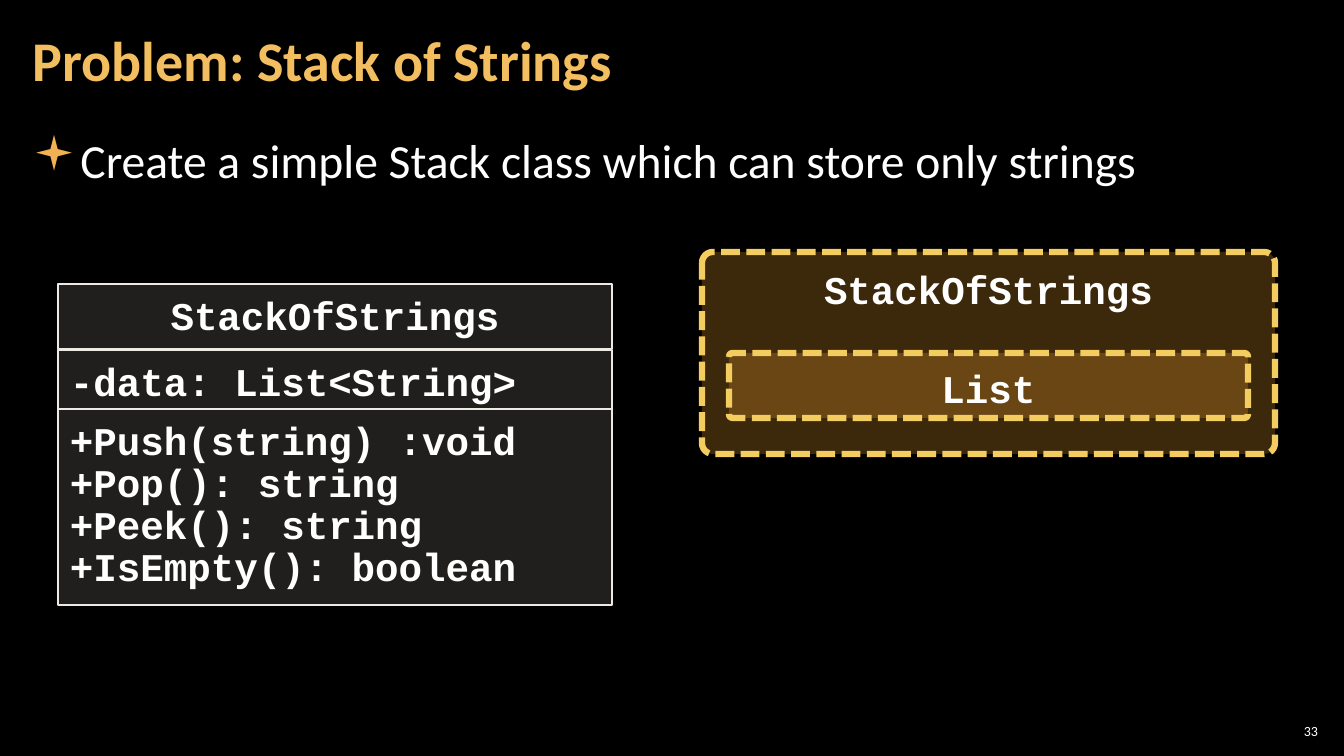
import pptx
import pptx.util
import pptx.dml.color
import pptx.enum.dml
import pptx.enum.shapes
import pptx.enum.text
import pptx.oxml
import pptx.oxml.ns

SCALE = 914400 / 100.8
COLORS = {
    "black": "000000", "white": "FFFFFF", "title": "F3BE60", "bullet": "F2B254",
    "class_fill": "D9D5C7", "class_line": "ECEAE3",
    "stack_fill": "F0A22E", "stack_line": "F3CD60",
}
ALIGN = pptx.enum.text.PP_ALIGN
ANCHOR = pptx.enum.text.MSO_ANCHOR
SHAPE = pptx.enum.shapes.MSO_SHAPE
CODE = {"name": "Courier New", "size": pptx.util.Pt(28), "bold": True}


def px(*lengths):
    return [round(length * SCALE) for length in lengths]


def write(box, lines, font, margins, anchor=ANCHOR.TOP, color="white", **para_format):
    frame = box.text_frame
    frame.word_wrap = True
    frame.vertical_anchor = anchor
    sides = ("margin_left", "margin_top", "margin_right", "margin_bottom")
    for side, margin in zip(sides, px(*margins)):
        setattr(frame, side, margin)
    for number, line in enumerate(lines):
        para = frame.add_paragraph() if number else frame.paragraphs[0]
        for name, value in para_format.items():
            setattr(para, name, value)
        span = para.add_run()
        span.text = line
        for name, value in font.items():
            setattr(span.font, name, value)
        span.font.color.rgb = pptx.dml.color.RGBColor.from_string(COLORS[color])


deck = pptx.Presentation()
deck.slide_width, deck.slide_height = px(1344, 756)
page = deck.slides.add_slide(deck.slide_layouts[6])
page.background.fill.solid()
page.background.fill.fore_color.rgb = pptx.dml.color.RGBColor.from_string(COLORS["black"])

# Bulleted statement
body = page.shapes.add_textbox(*px(21, 127, 1301, 614))
write(body, ["Create a simple Stack class which can store only strings"],
      {"name": "Calibri", "size": pptx.util.Pt(34)}, (12, 4, 12, 4),
      space_before=pptx.util.Pt(6), space_after=pptx.util.Pt(6))
props = body.text_frame.paragraphs[0]._p.get_or_add_pPr()
indent = px(33)[0]
props.set("marL", str(indent))
props.set("indent", str(-indent))
namespace = pptx.oxml.ns.nsdecls("a")
for bullet in (
    f'<a:buClr {namespace}><a:srgbClr val="{COLORS["bullet"]}"/></a:buClr>',
    f'<a:buFont {namespace} typeface="Wingdings"/>',
    f'<a:buChar {namespace} char="▪"/>',
):
    props.append(pptx.oxml.parse_xml(bullet))

# Title and page number
title = page.shapes.add_textbox(*px(21, 4, 1055, 122))
write(title, ["Problem: Stack of Strings"],
      {"name": "Calibri", "size": pptx.util.Pt(40), "bold": True}, (12, 4, 12, 4),
      ANCHOR.MIDDLE, "title", line_spacing=pptx.util.Pt(40))
page_number = page.shapes.add_textbox(*px(1275, 720, 47, 21))
write(page_number, ["33"], {"name": "Calibri", "size": pptx.util.Pt(10)}, (4, 4, 4, 4),
      ANCHOR.MIDDLE, alignment=ALIGN.RIGHT)

# Class diagram rows, then the stack with its inner list
class_rows = [
    (284, 65, ALIGN.CENTER, ["StackOfStrings"]),
    (350, 59, ALIGN.LEFT, ["-data: List<String>"]),
    (409, 196, ALIGN.LEFT, ["+Push(string) :void", "+Pop(): string",
                            "+Peek(): string", "+IsEmpty(): boolean"]),
]
stack_boxes = [((702, 252, 573, 202), "StackOfStrings"), ((729, 353, 519, 65), "List")]
panels = []
for top, height, alignment, lines in class_rows:
    panel = page.shapes.add_shape(SHAPE.RECTANGLE, *px(58, top, 554, height))
    write(panel, lines, CODE, (12, 12, 12, 12),
          alignment=alignment, line_spacing=pptx.util.Pt(30))
    panels.append((panel, "class", 15, 2))
for place, label in stack_boxes:
    panel = page.shapes.add_shape(SHAPE.ROUNDED_RECTANGLE, *px(*place))
    panel.adjustments[0] = 0.054
    panel.line.dash_style = pptx.enum.dml.MSO_LINE.SQUARE_DOT
    write(panel, [label], CODE, (10, 10, 10, 5), alignment=ALIGN.CENTER)
    panels.append((panel, "stack", 25, 4.5))

# Translucent fills and outlines
for panel, kind, opacity, width in panels:
    panel.shadow.inherit = False
    panel.fill.solid()
    panel.fill.fore_color.rgb = pptx.dml.color.RGBColor.from_string(COLORS[kind + "_fill"])
    panel.line.color.rgb = pptx.dml.color.RGBColor.from_string(COLORS[kind + "_line"])
    panel.line.width = pptx.util.Pt(width)
    fill_color = panel.fill._xPr.find(".//" + pptx.oxml.ns.qn("a:srgbClr"))
    fill_color.append(pptx.oxml.parse_xml(
        f'<a:alpha {namespace} val="{opacity * 1000}"/>'))

deck.save("out.pptx")
